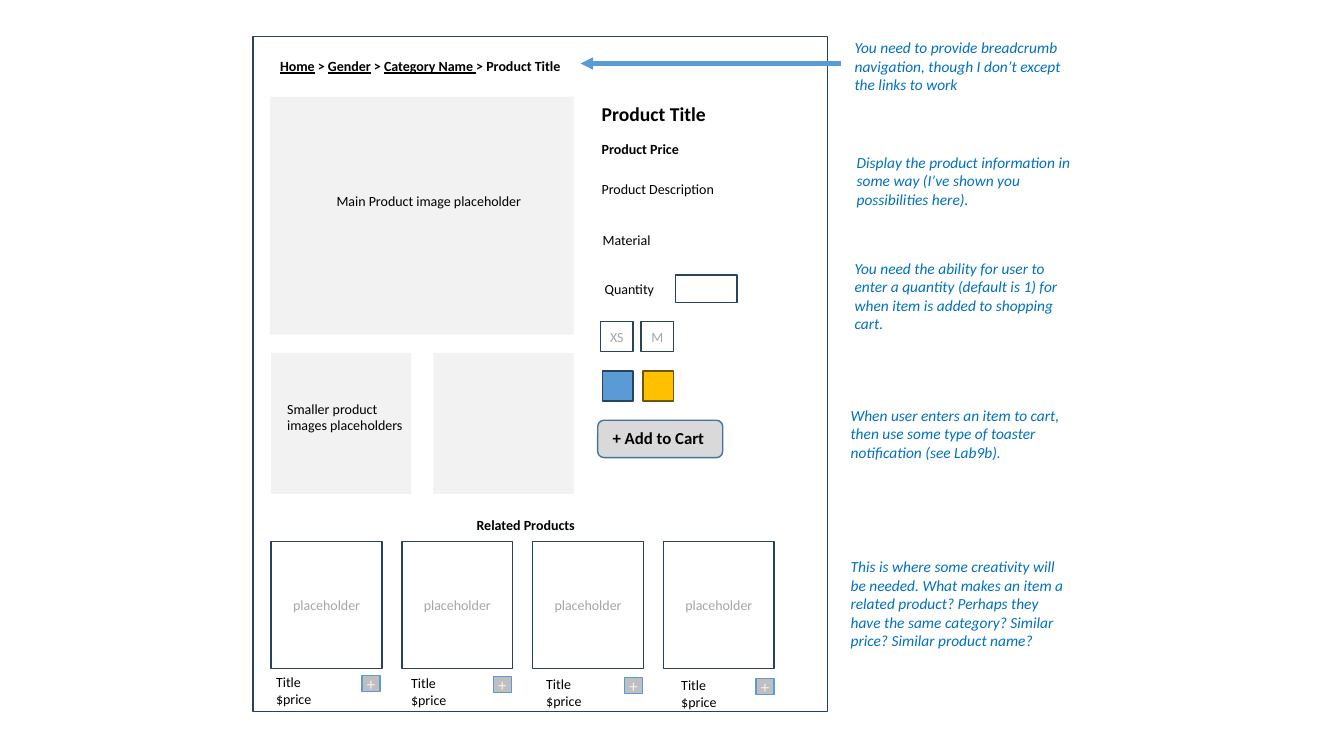
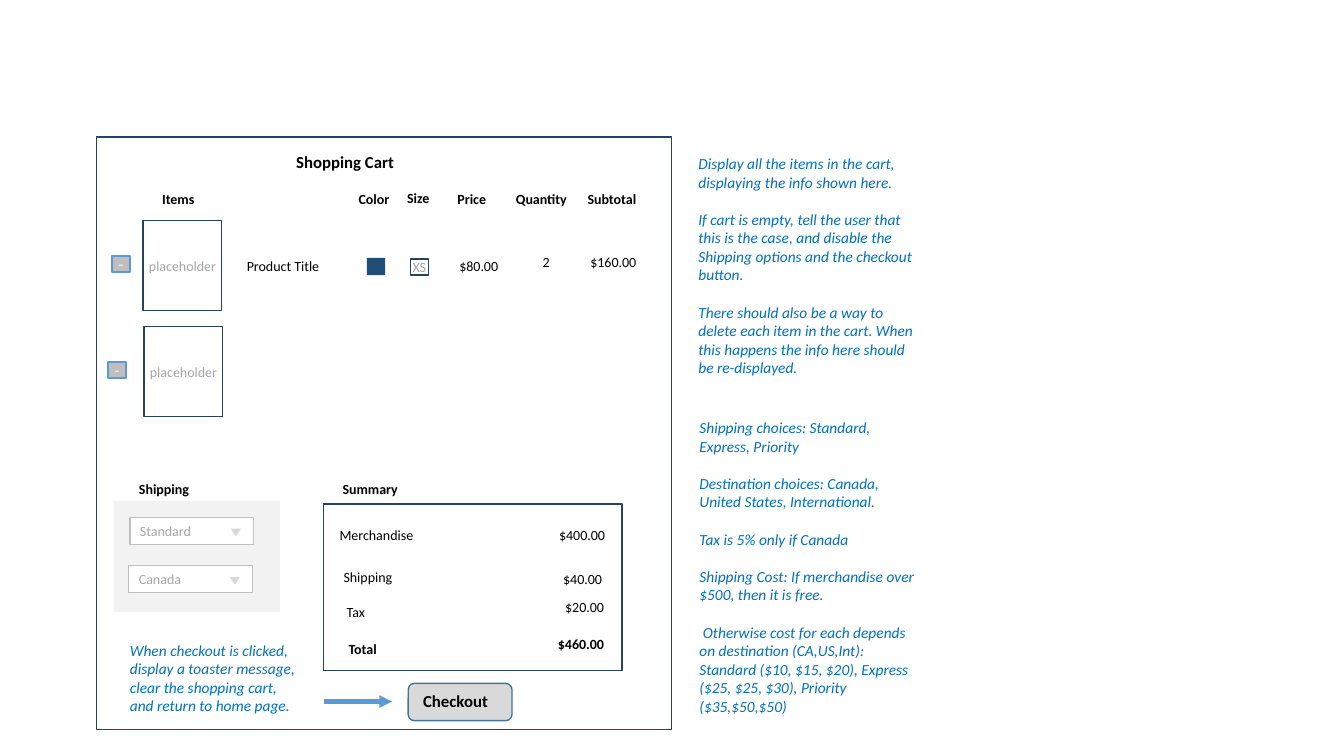
from dataclasses import dataclass
from typing import NamedTuple, Optional

from pptx import Presentation
from pptx.dml.color import RGBColor
from pptx.enum.shapes import MSO_CONNECTOR, MSO_SHAPE
from pptx.enum.text import MSO_ANCHOR, MSO_AUTO_SIZE, PP_ALIGN
from pptx.oxml.ns import qn
from pptx.util import Emu, Inches, Pt
from lxml import etree

RECTANGLE = MSO_SHAPE.RECTANGLE
ROUNDED = MSO_SHAPE.ROUNDED_RECTANGLE
TRIANGLE = MSO_SHAPE.ISOSCELES_TRIANGLE
STRAIGHT = MSO_CONNECTOR.STRAIGHT
LEFT, CENTER, RIGHT = PP_ALIGN.LEFT, PP_ALIGN.CENTER, PP_ALIGN.RIGHT
TOP, MIDDLE = MSO_ANCHOR.TOP, MSO_ANCHOR.MIDDLE

# Grid: square cells, ten to the inch
CELL = Inches(0.1)
SLIDE_COLUMNS, SLIDE_ROWS = 133.33, 75
BLANK_LAYOUT = 6

FONT = "Calibri"
BLACK = RGBColor(0x00, 0x00, 0x00)
WHITE = RGBColor(0xFF, 0xFF, 0xFF)
NAVY = RGBColor(0x28, 0x44, 0x5D)
DEEP_BLUE = RGBColor(0x1F, 0x4E, 0x79)
STEEL = RGBColor(0x43, 0x73, 0x9E)
SKY = RGBColor(0x5B, 0x9B, 0xD5)
NOTE_BLUE = RGBColor(0x00, 0x70, 0xC0)
GOLD = RGBColor(0xFF, 0xC0, 0x00)
BRONZE = RGBColor(0x70, 0x54, 0x00)
PALE = RGBColor(0xF2, 0xF2, 0xF2)
LIGHT_GRAY = RGBColor(0xD9, 0xD9, 0xD9)
MID_GRAY = RGBColor(0xBF, 0xBF, 0xBF)
TEXT_GRAY = RGBColor(0xA6, 0xA6, 0xA6)


class TextStyle(NamedTuple):
    size: float = 10
    color: RGBColor = BLACK
    bold: bool = False
    italic: bool = False
    align: PP_ALIGN = LEFT


class Area(NamedTuple):
    """Left, top, width and height in grid cells."""
    left: float
    top: float
    width: float
    height: float


class Insets(NamedTuple):
    left: float = 0
    top: float = 0


@dataclass(frozen=True)
class Look:
    fill: Optional[RGBColor] = None
    line: Optional[RGBColor] = None
    weight: float = 1
    shape: MSO_SHAPE = RECTANGLE
    text: TextStyle = TextStyle()
    insets: Insets = Insets()
    anchor: MSO_ANCHOR = MIDDLE


@dataclass(frozen=True)
class Label:
    text: str
    left: float
    top: float
    width: float
    style: TextStyle = TextStyle()
    height: float = 2.7


BODY = TextStyle()
BOLD = TextStyle(bold=True)
AMOUNT = TextStyle(align=RIGHT)
BOLD_AMOUNT = TextStyle(bold=True, align=RIGHT)
HEADING = TextStyle(size=12, bold=True)
TITLE = TextStyle(size=14, bold=True)
NOTE = TextStyle(size=11, color=NOTE_BLUE, italic=True)
NOTE_GAP = 13.4
NOTE_WIDTH = 23.4

FRAME = Look(line=NAVY)
BACKDROP = Look(fill=PALE)
TILE = Look(WHITE, NAVY, text=TextStyle(color=TEXT_GRAY, align=CENTER))
SIGN = Look(MID_GRAY, SKY, text=TextStyle(12, PALE, align=CENTER))
BUTTON = Look(LIGHT_GRAY, STEEL, shape=ROUNDED, text=HEADING,
              insets=Insets(1.3, 0.6), anchor=TOP)
DROPDOWN = Look(WHITE, MID_GRAY, 0.75, text=TextStyle(color=TEXT_GRAY),
                insets=Insets(1, 0.5), anchor=TOP)
DROP_MARK = Look(LIGHT_GRAY, LIGHT_GRAY, shape=TRIANGLE)


def cells(count: float) -> Emu:
    return Emu(round(count * CELL))


def style_runs(paragraph, style: TextStyle) -> None:
    paragraph.alignment = style.align
    for span in paragraph.runs:
        font = span.font
        font.name, font.size = FONT, Pt(style.size)
        font.bold, font.italic = style.bold, style.italic
        font.color.rgb = style.color


def add_panel(page, area: Area, look: Look, text: str = ""):
    panel = page.shapes.add_shape(look.shape, *map(cells, area))
    panel.shadow.inherit = False
    if look.fill is None:
        panel.fill.background()
    else:
        panel.fill.solid()
        panel.fill.fore_color.rgb = look.fill
    if look.line is None:
        panel.line.fill.background()
    else:
        panel.line.color.rgb = look.line
        panel.line.width = Pt(look.weight)
    if text:
        frame = panel.text_frame
        frame.margin_left, frame.margin_top = map(cells, look.insets)
        frame.margin_right = frame.margin_bottom = 0
        frame.vertical_anchor = look.anchor
        frame.text = text
        style_runs(frame.paragraphs[0], look.text)
    return panel


def add_label(page, label: Label):
    """Add wrapped text; each line of the label is a paragraph."""
    area = Area(label.left, label.top, label.width, label.height)
    box = page.shapes.add_textbox(*map(cells, area))
    frame = box.text_frame
    frame.word_wrap = True
    frame.auto_size = MSO_AUTO_SIZE.SHAPE_TO_FIT_TEXT
    frame.text = label.text
    for paragraph in frame.paragraphs:
        style_runs(paragraph, label.style)
    return box


def add_note(page, text: str, left: float, top: float, height: float,
             width: float = NOTE_WIDTH) -> None:
    box = add_label(page, Label(text, left, top, width, NOTE, height))
    for paragraph in box.text_frame.paragraphs[1:]:
        paragraph.space_before = Pt(NOTE_GAP)


def add_arrow(page, start: float, end: float, row: float) -> None:
    arrow = page.shapes.add_connector(
        STRAIGHT, cells(start), cells(row), cells(end), cells(row))
    arrow.line.color.rgb = SKY
    arrow.line.width = Pt(3)
    line = arrow.line._get_or_add_ln()
    etree.SubElement(line, qn("a:tailEnd"), type="triangle")
    etree.SubElement(arrow._element.spPr, qn("a:effectLst"))


def add_breadcrumb(page) -> None:
    box = add_label(page, Label("", 26.8, 5.2, 32.5))
    paragraph = box.text_frame.paragraphs[0]
    spans = ("Home", " > ", "Gender", " > ", "Category Name ", "> Product Title")
    for index, text in enumerate(spans):
        span = paragraph.add_run()
        span.text = text
        span.font.underline = index % 2 == 0
    style_runs(paragraph, BOLD)


def build_product_page(page) -> None:
    add_panel(page, Area(25.1, 3.6, 57, 67), FRAME)
    add_breadcrumb(page)

    # Product images
    add_panel(page, Area(26.8, 9.6, 30.1, 23.6), BACKDROP)
    for left in (26.9, 43):
        add_panel(page, Area(left, 35, 13.9, 14), BACKDROP)

    # Product details
    for label in (
        Label("Main Product image placeholder", 32.4, 18.6, 21.1),
        Label("Smaller product images placeholders", 27.5, 39.2, 13.9, height=4.4),
        Label("Product Title", 58.7, 9.6, 21.3, TITLE, 3.4),
        Label("Product Price", 58.7, 13.4, 21.1, BOLD),
        Label("Product Description", 58.7, 17.4, 21.1),
        Label("Material", 58.8, 22.5, 7.9),
        Label("Quantity", 59, 27.3, 7.9),
        Label("Related Products", 46.3, 50.8, 21.1, BOLD),
    ):
        add_label(page, label)
    add_panel(page, Area(67, 27.3, 6.1, 2.7), TILE)
    swatches = (Look(SKY, NAVY), Look(GOLD, BRONZE))
    for index, (size, swatch) in enumerate(zip(("XS", "M"), swatches)):
        shift = 4 * index
        add_panel(page, Area(59.6 + shift, 31.9, 3.2, 3), TILE, size)
        add_panel(page, Area(59.8 + shift, 36.8, 3, 3), swatch)
    add_panel(page, Area(59.3, 41.7, 12.4, 3.7), BUTTON, "+ Add to Cart")

    # Related products
    for index in range(4):
        drop = 0.1 * index
        add_panel(page, Area(26.9 + 12.97 * index, 53.7, 11, 12.6), TILE,
                  "placeholder")
        add_label(page, Label("Title\n$price", 26.4 + 13.4 * index,
                              66.3 + drop, 8.9, height=4.4))
        add_panel(page, Area(35.9 + 13.03 * index, 67 + drop, 1.8, 1.6),
                  SIGN, "+")

    # Notes
    add_arrow(page, 83.4, 57.6, 6.3)
    for text, left, top, height in (
        ("You need to provide breadcrumb navigation, though I don’t except "
         "the links to work", 83.8, 3.3, 6.6),
        ("Display the product information in some way (I’ve shown you "
         "possibilities here).", 84, 14.7, 6.6),
        ("You need the ability for user to enter a quantity (default is 1) "
         "for when item is added to shopping cart.", 83.8, 25.2, 8.4),
        ("When user enters an item to cart, then use some type of toaster "
         "notification (see Lab9b).", 83.4, 39.8, 6.6),
        ("This is where some creativity will be needed. What makes an item a "
         "related product? Perhaps they have the same category? Similar "
         "price? Similar product name?", 83.4, 54.8, 10.3),
    ):
        add_note(page, text, left, top, height)


def build_cart_page(page) -> None:
    add_panel(page, Area(9.6, 13.6, 57, 58.8), FRAME)
    add_panel(page, Area(11.3, 49.7, 16.5, 11), BACKDROP)
    add_panel(page, Area(32.1, 50, 29.6, 16.5), FRAME)

    # Headings, cart row and summary
    for label in (
        Label("Shopping Cart", 28.4, 14.6, 14.6, HEADING, 3),
        Label("Items", 15.1, 18.4, 6, BOLD),
        Label("Color", 34.6, 18.4, 6, BOLD),
        Label("Size", 39.4, 18.3, 6, BOLD),
        Label("Price", 44.4, 18.4, 6, BOLD),
        Label("Quantity", 50.2, 18.4, 8.2, BOLD),
        Label("Subtotal", 57.3, 18.4, 8.2, BOLD),
        Label("Product Title", 23.5, 25.1, 9.9),
        Label("$80.00", 44.4, 25.1, 6, AMOUNT),
        Label("2", 52.7, 24.7, 2.8, AMOUNT),
        Label("$160.00", 56.3, 24.7, 7.8, AMOUNT),
        Label("Shipping", 12.8, 47.2, 9.9, BOLD),
        Label("Summary", 33, 47.2, 9.9, BOLD),
        Label("Merchandise", 32.7, 51.7, 10.4),
        Label("$400.00", 50.6, 51.7, 10.4, AMOUNT),
        Label("Shipping", 33.1, 55.9, 10.4),
        Label("$40.00", 50.3, 56.1, 10.4, AMOUNT),
        Label("Tax", 33.4, 59.4, 10.4),
        Label("$20.00", 50.5, 58.9, 10.4, AMOUNT),
        Label("Total", 33.6, 63.1, 10.4, BOLD),
        Label("$460.00", 50.5, 62.6, 10.4, BOLD_AMOUNT),
    ):
        add_label(page, label)

    # Cart items
    for index, sign_left in enumerate((11.1, 10.7)):
        drop = 10.5 * index
        add_panel(page, Area(14.2 + 0.1 * index, 21.9 + drop, 7.8, 8.9),
                  TILE, "placeholder")
        add_panel(page, Area(sign_left, 25.4 + drop, 1.8, 1.6), SIGN, "-")
    add_panel(page, Area(36.4, 25.6, 1.8, 1.7), Look(DEEP_BLUE))
    add_panel(page, Area(40.7, 25.7, 1.8, 1.6), TILE, "XS")

    # Shipping choices
    for choice, left, top in (("Standard", 12.9, 51.3), ("Canada", 12.8, 56.1)):
        add_panel(page, Area(left, top, 12.3, 2.7), DROPDOWN, choice)
        mark = add_panel(page, Area(left + 10.1, top + 1.2, 0.8, 0.6), DROP_MARK)
        mark.rotation = 180

    # Checkout
    add_arrow(page, 32.1, 38.9, 69.6)
    add_panel(page, Area(40.5, 67.8, 10.3, 3.7), BUTTON, "Checkout")

    # Notes
    add_note(page, "When checkout is clicked, display a toaster message, clear "
             "the shopping cart, and return to home page.", 11.9, 63.1, 8.4, 19)
    add_note(page, "Display all the items in the cart, displaying the info shown here.\n"
             "If cart is empty, tell the user that this is the case, and disable "
             "the Shipping options and the checkout button.\n"
             "There should also be a way to delete each item in the cart. When "
             "this happens the info here should be re-displayed.", 68.3, 14.8, 23.2)
    add_note(page, "Shipping choices: Standard, Express, Priority\n"
             "Destination choices: Canada, United States, International.\n"
             "Tax is 5% only if Canada\n"
             "Shipping Cost: If merchandise over $500, then it is free.\n"
             " Otherwise cost for each depends on destination (CA,US,Int): "
             "Standard ($10, $15, $20), Express ($25, $25, $30), Priority "
             "($35,$50,$50)", 68.4, 41, 32.5)


def main() -> None:
    deck = Presentation()
    deck.slide_width, deck.slide_height = cells(SLIDE_COLUMNS), cells(SLIDE_ROWS)
    for build in (build_product_page, build_cart_page):
        build(deck.slides.add_slide(deck.slide_layouts[BLANK_LAYOUT]))
    deck.save("out.pptx")


if __name__ == "__main__":
    main()
